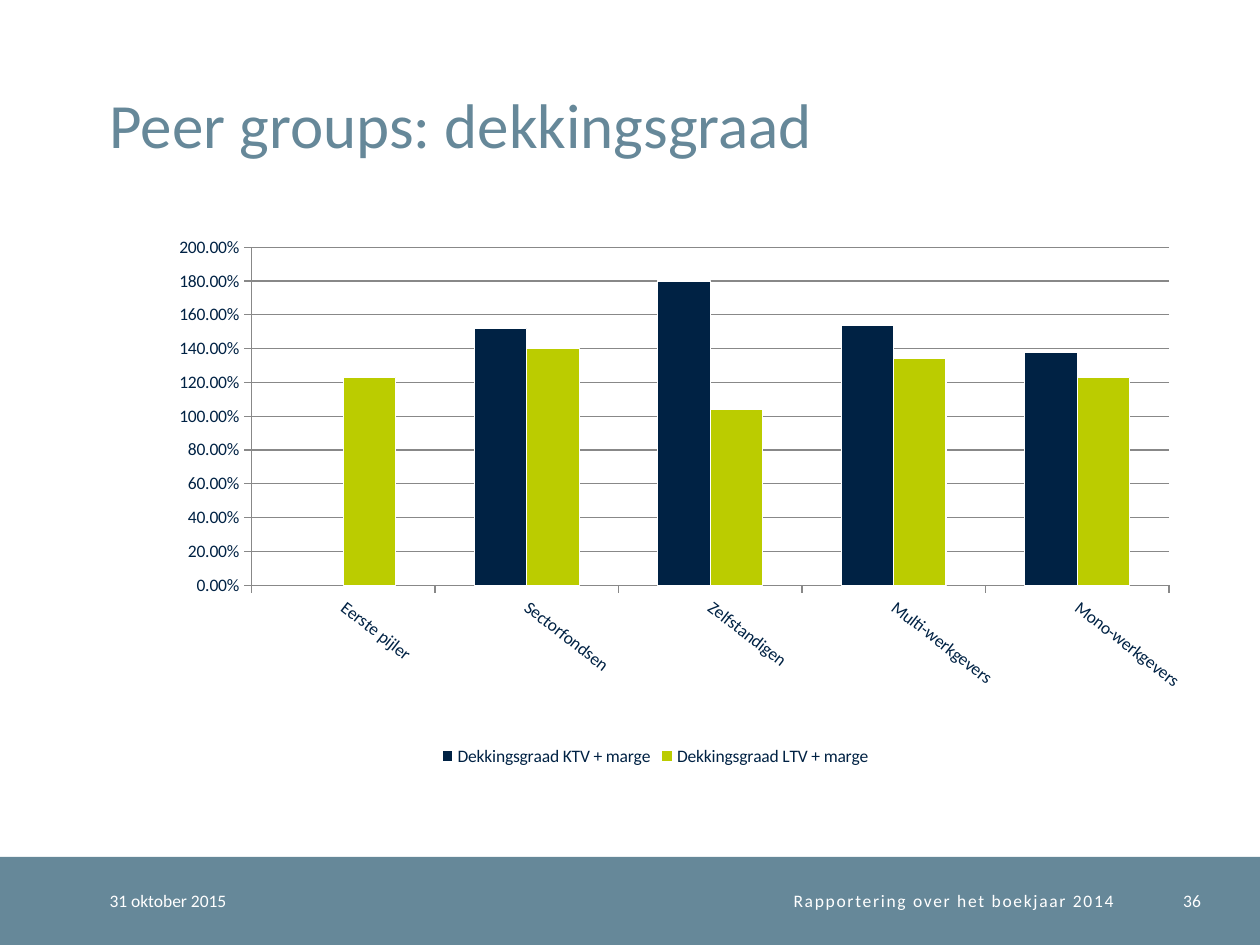
"""Build the peer group coverage ratio slide with a clustered column chart."""
import pptx
import pptx.chart.data
import pptx.dml.color
import pptx.enum.chart
import pptx.enum.shapes
import pptx.enum.text
import pptx.oxml
import pptx.oxml.ns
import pptx.util

PX = 9144
NAVY, LIME, SLATE, GREY, WHITE = "002244", "BBCC00", "668899", "888888", "FFFFFF"
ALIGN = pptx.enum.text.PP_ALIGN
ANCHOR = pptx.enum.text.MSO_ANCHOR


def rgb(value):
    return pptx.dml.color.RGBColor.from_string(value)


def set_font(font, size, color):
    for name, value in {"name": "Calibri", "size": pptx.util.Pt(size), "bold": False}.items():
        setattr(font, name, value)
    font.color.rgb = rgb(color)


prs = pptx.Presentation()
prs.slide_width, prs.slide_height = 1000 * PX, 750 * PX
s = prs.slides.add_slide(prs.slide_layouts[6])

sp = s.shapes.add_shape(pptx.enum.shapes.MSO_SHAPE.RECTANGLE, 0, 680 * PX, 1000 * PX, 70 * PX)
sp.shadow.inherit = False
sp.fill.solid()
sp.fill.fore_color.rgb = rgb(SLATE)
sp.line.fill.background()

texts = [
    ("Peer groups: dekkingsgraad", (87, 20, 863, 108), 36, SLATE, ALIGN.LEFT, ANCHOR.BOTTOM, 32, 0),
    ("31 oktober 2015", (87, 680, 177, 70), 10, WHITE, ALIGN.LEFT, ANCHOR.MIDDLE, None, 0),
    ("Rapportering over het boekjaar 2014", (264, 680, 620, 70), 10, WHITE, ALIGN.RIGHT, ANCHOR.MIDDLE, None, 100),
    ("36", (904, 680, 49, 70), 10, WHITE, ALIGN.RIGHT, ANCHOR.MIDDLE, None, 0),
]
for text, box, size, color, align, anchor, leading, spacing in texts:
    tf = s.shapes.add_textbox(*(v * PX for v in box)).text_frame
    frame = {"word_wrap": True, "vertical_anchor": anchor, "margin_left": 0,
             "margin_right": 0, "margin_top": 0, "margin_bottom": 0}
    for name, value in frame.items():
        setattr(tf, name, value)
    p = tf.paragraphs[0]
    p.alignment = align
    if leading:
        p.line_spacing = pptx.util.Pt(leading)
    r = p.add_run()
    r.text = text
    set_font(r.font, size, color)
    if spacing:
        r.font._element.set("spc", str(spacing))

data = pptx.chart.data.CategoryChartData(number_format="0.00%")
data.categories = ["Eerste pijler", "Sectorfondsen", "Zelfstandigen", "Multi-werkgevers", "Mono-werkgevers"]
data.add_series("Dekkingsgraad KTV + marge", [None, 1.52, 1.8, 1.54, 1.38])
data.add_series("Dekkingsgraad LTV + marge", [1.23, 1.4, 1.04, 1.34, 1.23])
chart = s.shapes.add_chart(pptx.enum.chart.XL_CHART_TYPE.COLUMN_CLUSTERED,
                           87 * PX, 147 * PX, 866 * PX, 465 * PX, data).chart
set_font(chart.font, 10, NAVY)
chart.has_title = False
chart.has_legend = True
chart.legend.position = pptx.enum.chart.XL_LEGEND_POSITION.BOTTOM
chart.legend.include_in_layout = False

plot = chart.plots[0]
for name, value in {"gap_width": 150, "overlap": 0, "vary_by_categories": False}.items():
    setattr(plot, name, value)
for series, color in zip(plot.series, (NAVY, LIME)):
    series.format.fill.solid()
    series.format.fill.fore_color.rgb = rgb(color)
    series.format.line.color.rgb = rgb(WHITE)
    series.format.line.width = pptx.util.Pt(0.75)

val, cat = chart.value_axis, chart.category_axis
scale = {"minimum_scale": 0, "maximum_scale": 2, "major_unit": 0.2, "has_major_gridlines": True}
for name, value in scale.items():
    setattr(val, name, value)
val.tick_labels.number_format = "0.00%"
val.tick_labels.number_format_is_linked = False
for axis in (val, cat):
    axis.major_tick_mark = pptx.enum.chart.XL_TICK_MARK.OUTSIDE
    set_font(axis.tick_labels.font, 10, NAVY)
for line in (val.format.line, cat.format.line, val.major_gridlines.format.line):
    line.color.rgb = rgb(GREY)
    line.width = pptx.util.Pt(0.75)

qn = pptx.oxml.ns.qn
cat._element.find(qn("c:txPr")).find(qn("a:bodyPr")).set("rot", "2280000")
area = chart._chartSpace.chart.plotArea
for old in area.findall(qn("c:layout")):
    area.remove(old)
fields = {"layoutTarget": "inner", "xMode": "edge", "yMode": "edge",
          "x": 0.13, "y": 0.106, "w": 0.841, "h": 0.577}
parts = "".join(f'<c:{tag} val="{value}"/>' for tag, value in fields.items())
area.insert(0, pptx.oxml.parse_xml(
    f'<c:layout {pptx.oxml.ns.nsdecls("c")}><c:manualLayout>{parts}</c:manualLayout></c:layout>'))

prs.save("out.pptx")
